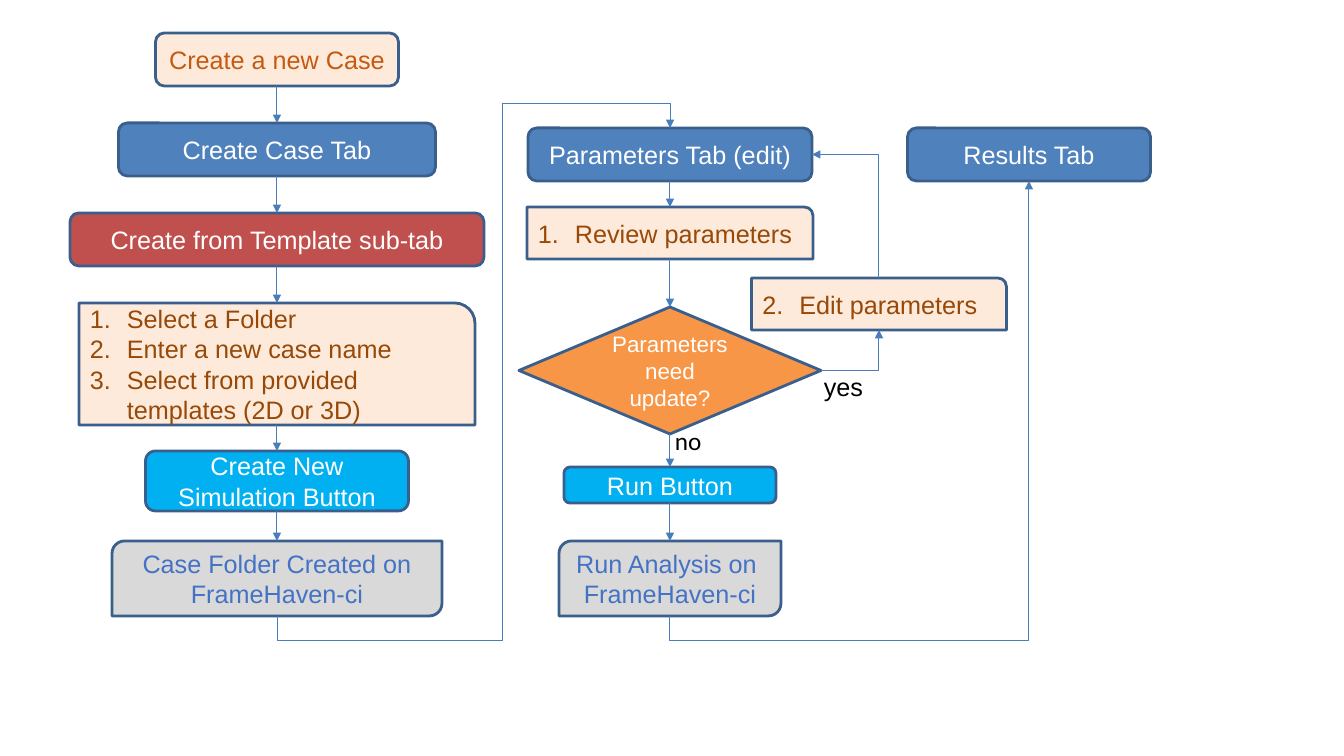
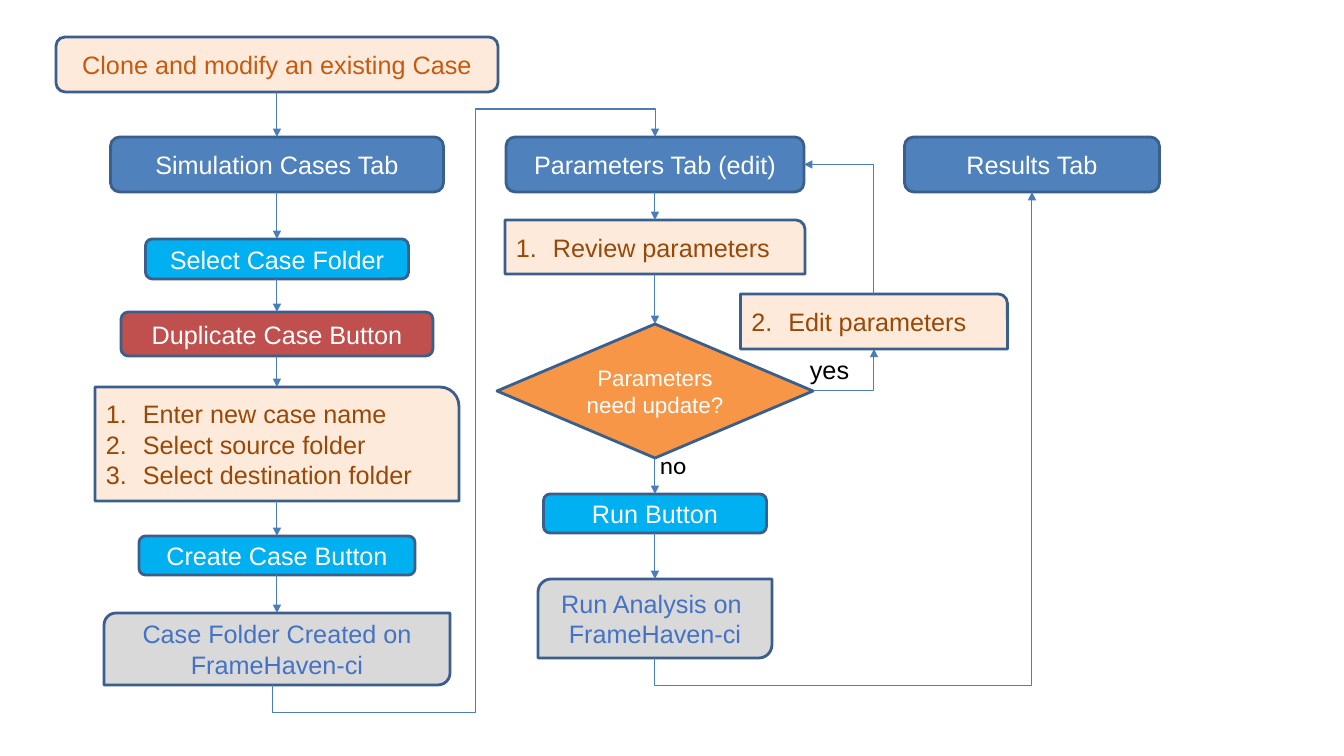
from collections import namedtuple
from itertools import pairwise

from lxml import etree
from pptx import Presentation
from pptx import util as u
from pptx.dml.color import RGBColor
from pptx.enum import shapes, text
from pptx.oxml import ns

SCALE = 914400 / 100.8
WHITE = RGBColor(0xFF, 0xFF, 0xFF)
BLACK = RGBColor(0, 0, 0)
BLUE = RGBColor(0x4F, 0x81, 0xBD)
RED = RGBColor(0xC0, 0x50, 0x4D)
CYAN = RGBColor(0x00, 0xB0, 0xF0)
PEACH = RGBColor(0xFD, 0xEA, 0xDA)
GREY = RGBColor(0xD9, 0xD9, 0xD9)
ORANGE = RGBColor(0xF7, 0x96, 0x46)
RUST = RGBColor(0xC5, 0x5A, 0x11)
BROWN = RGBColor(0x98, 0x48, 0x07)
SERVICE_BLUE = RGBColor(0x44, 0x72, 0xC4)
OUTLINE = RGBColor(0x3A, 0x5F, 0x8C)
ARROW = RGBColor(0x4A, 0x7E, 0xBB)

Style = namedtuple("Style", "form fill ink size numbered", defaults=(18, False))
Step = namedtuple("Step", "style words top width height first", defaults=(1,))
Branch = namedtuple("Branch", "edit_x edit results_x results yes no label_size")

FORM = shapes.MSO_SHAPE
CASE = Style(FORM.ROUNDED_RECTANGLE, PEACH, RUST)
TAB = Style(FORM.ROUNDED_RECTANGLE, BLUE, WHITE)
CHOICE = Style(FORM.ROUNDED_RECTANGLE, RED, WHITE)
BUTTON = Style(FORM.ROUNDED_RECTANGLE, CYAN, WHITE)
TASKS = Style(FORM.ROUND_1_RECTANGLE, PEACH, BROWN, numbered=True)
SERVICE = Style(FORM.ROUND_2_DIAG_RECTANGLE, GREY, SERVICE_BLUE)
DECISION = Style(FORM.DIAMOND, ORANGE, WHITE, 16)

FOLDER_WORDS = "Case Folder Created on\nFrameHaven-ci"
ANALYSIS_WORDS = "Run Analysis on \nFrameHaven-ci"
QUESTION = "Parameters need update?"


def px(value):
    return u.Emu(round(value * SCALE))


def add_xml(parent, tag, **attributes):
    return etree.SubElement(parent, ns.qn(tag), attributes)


def write(frame, words, color, size, font="Arial"):
    frame.text = words
    frame.word_wrap = True
    for para in frame.paragraphs:
        for span in para.runs:
            span.font.name = font
            span.font.size = u.Pt(size)
            span.font.color.rgb = color


def number(para, first):
    props = para._p.get_or_add_pPr()
    props.set("marL", str(px(38)))
    props.set("indent", str(px(-37)))
    add_xml(add_xml(props, "a:buClr"), "a:srgbClr", val=str(BROWN))
    add_xml(props, "a:buFont", typeface="Arial")
    add_xml(props, "a:buAutoNum", type="arabicPeriod", startAt=str(first))


def draw_step(page, center_x, step):
    style = step.style
    box = page.shapes.add_shape(
        style.form, px(center_x - step.width / 2), px(step.top),
        px(step.width), px(step.height))
    box.shadow.inherit = False
    box.fill.solid()
    box.fill.fore_color.rgb = style.fill
    box.line.color.rgb = OUTLINE
    box.line.width = u.Pt(2)
    frame = box.text_frame
    frame.vertical_anchor = text.MSO_ANCHOR.MIDDLE
    write(frame, step.words, style.ink, style.size)
    for para in frame.paragraphs:
        if style.numbered:
            para.alignment = text.PP_ALIGN.LEFT
            number(para, step.first)
        else:
            para.alignment = text.PP_ALIGN.CENTER
    return box


def draw_label(page, left, top, size, words, font):
    box = page.shapes.add_textbox(px(left), px(top), px(size[0]), px(size[1]))
    write(box.text_frame, words, BLACK, 18, font)


def top_of(box):
    return box.left + box.width // 2, box.top


def bottom_of(box):
    return box.left + box.width // 2, box.top + box.height


def right_of(box):
    return box.left + box.width, box.top + box.height // 2


def draw_arrow(page, start, end, kind=shapes.MSO_CONNECTOR.STRAIGHT):
    arrow = page.shapes.add_connector(kind, *start, *end)
    arrow.line.color.rgb = ARROW
    arrow.line.width = u.Pt(0.75)
    add_xml(arrow.line._get_or_add_ln(), "a:tailEnd", type="triangle")
    add_xml(arrow._element.spPr, "a:effectLst")
    return arrow


def draw_elbow(page, start, end, bends, turn=0, flips="V", adjusts=()):
    arrow = draw_arrow(page, start, end, shapes.MSO_CONNECTOR.ELBOW)
    props = arrow._element.spPr
    frame = props.find(ns.qn("a:xfrm"))
    for side in "HV":
        frame.set("flip" + side, str(int(side in flips)))
    if turn:
        across, down = abs(end[0] - start[0]), abs(end[1] - start[1])
        arrow.left = (start[0] + end[0] - down) // 2
        arrow.top = (start[1] + end[1] - across) // 2
        arrow.width, arrow.height = down, across
        frame.set("rot", str(turn * 60000))
    outline = props.find(ns.qn("a:prstGeom"))
    outline.set("prst", f"bentConnector{bends}")
    guides = outline.find(ns.qn("a:avLst"))
    if guides is None:
        guides = add_xml(outline, "a:avLst")
    for index, value in enumerate(adjusts, 1):
        name = "adj1" if len(adjusts) == 1 else f"adj{index}"
        add_xml(guides, "a:gd", name=name, fmla=f"val {round(value * 100000)}")


def draw_column(page, center_x, steps):
    boxes = [draw_step(page, center_x, step) for step in steps]
    for upper, lower in pairwise(boxes):
        arrow = draw_arrow(page, bottom_of(upper), top_of(lower))
        if SERVICE.form not in (upper.auto_shape_type, lower.auto_shape_type):
            arrow.begin_connect(upper, 2)
            arrow.end_connect(lower, 0)
    return boxes


def draw_branch(page, tab, decision, analysis, branch, drop):
    edit = draw_step(page, branch.edit_x, branch.edit)
    results = draw_step(page, branch.results_x, branch.results)
    draw_elbow(page, right_of(decision), bottom_of(edit), 2)
    draw_elbow(page, top_of(edit), right_of(tab), 2, 270)
    start, end = bottom_of(analysis), bottom_of(results)
    draw_elbow(page, start, end, 3, 90, "HV", [-px(drop) / (start[1] - end[1])])
    draw_label(page, *branch.yes, branch.label_size, "yes", "Arial")
    draw_label(page, *branch.no, branch.label_size, "no", "Calibri")


def draw_flow(page, case_x, case_steps, run_x, run_steps, branch,
              exit_x, lane_x, drop):
    folder = draw_column(page, case_x, case_steps)[-1]
    tab, review, decision, run, analysis = draw_column(page, run_x, run_steps)
    draw_branch(page, tab, decision, analysis, branch, drop)
    start, end = (px(exit_x), bottom_of(folder)[1]), top_of(tab)
    overshoot = px(drop) / (start[1] - end[1])
    lane = (lane_x - exit_x) / (run_x - exit_x)
    draw_elbow(page, start, end, 5, 90, "HV", [-overshoot, lane, 1 + overshoot])


def run_column(tab, review, decision, run, analysis):
    return [
        Step(TAB, "Parameters Tab (edit)", *tab),
        Step(TASKS, "Review parameters", *review),
        Step(DECISION, QUESTION, *decision),
        Step(BUTTON, "Run Button", *run),
        Step(SERVICE, ANALYSIS_WORDS, *analysis),
    ]


def new_case(page):
    case_steps = [
        Step(CASE, "Create a new Case", 33, 243, 53),
        Step(TAB, "Create Case Tab", 123, 317, 53),
        Step(CHOICE, "Create from Template sub-tab", 213, 414, 53),
        Step(TASKS, "Select a Folder\nEnter a new case name\n"
             "Select from provided templates (2D or 3D)", 303, 396, 122),
        Step(BUTTON, "Create New Simulation Button", 451, 263, 60),
        Step(SERVICE, FOLDER_WORDS, 541, 330, 75),
    ]
    run_steps = run_column((128, 284, 53), (207, 286, 52), (307, 302, 127),
                           (467, 212, 36), (541, 222, 75))
    branch = Branch(879, Step(TASKS, "Edit parameters", 278, 255, 52, 2),
                    1029, Step(TAB, "Results Tab", 128, 243, 53),
                    (814, 366), (665, 420), (62, 40))
    draw_flow(page, 277, case_steps, 670, run_steps, branch, 277, 502, 25)


def cloned_case(page):
    case_steps = [
        Step(CASE, "Clone and modify an existing Case", 37, 442, 55),
        Step(TAB, "Simulation Cases Tab", 137, 333, 55),
        Step(BUTTON, "Select Case Folder", 239, 263, 40),
        Step(CHOICE, "Duplicate Case Button", 312, 312, 44),
        Step(TASKS, "Enter new case name\nSelect source folder\n"
             "Select destination folder", 387, 364, 114),
        Step(BUTTON, "Create Case Button", 536, 276, 39),
        Step(SERVICE, FOLDER_WORDS, 613, 346, 72),
    ]
    run_steps = run_column((137, 298, 55), (220, 300, 54), (324, 316, 134),
                           (494, 223, 39), (579, 234, 79))
    branch = Branch(874, Step(TASKS, "Edit parameters", 294, 267, 55, 2),
                    1032, Step(TAB, "Results Tab", 137, 255, 55),
                    (800, 349), (650, 444), (66, 42))
    draw_flow(page, 277, case_steps, 655, run_steps, branch, 272, 475, 28)


deck = Presentation()
deck.slide_width, deck.slide_height = px(1344), px(756)
for draw_page in (new_case, cloned_case):
    draw_page(deck.slides.add_slide(deck.slide_layouts[6]))
deck.save("out.pptx")
